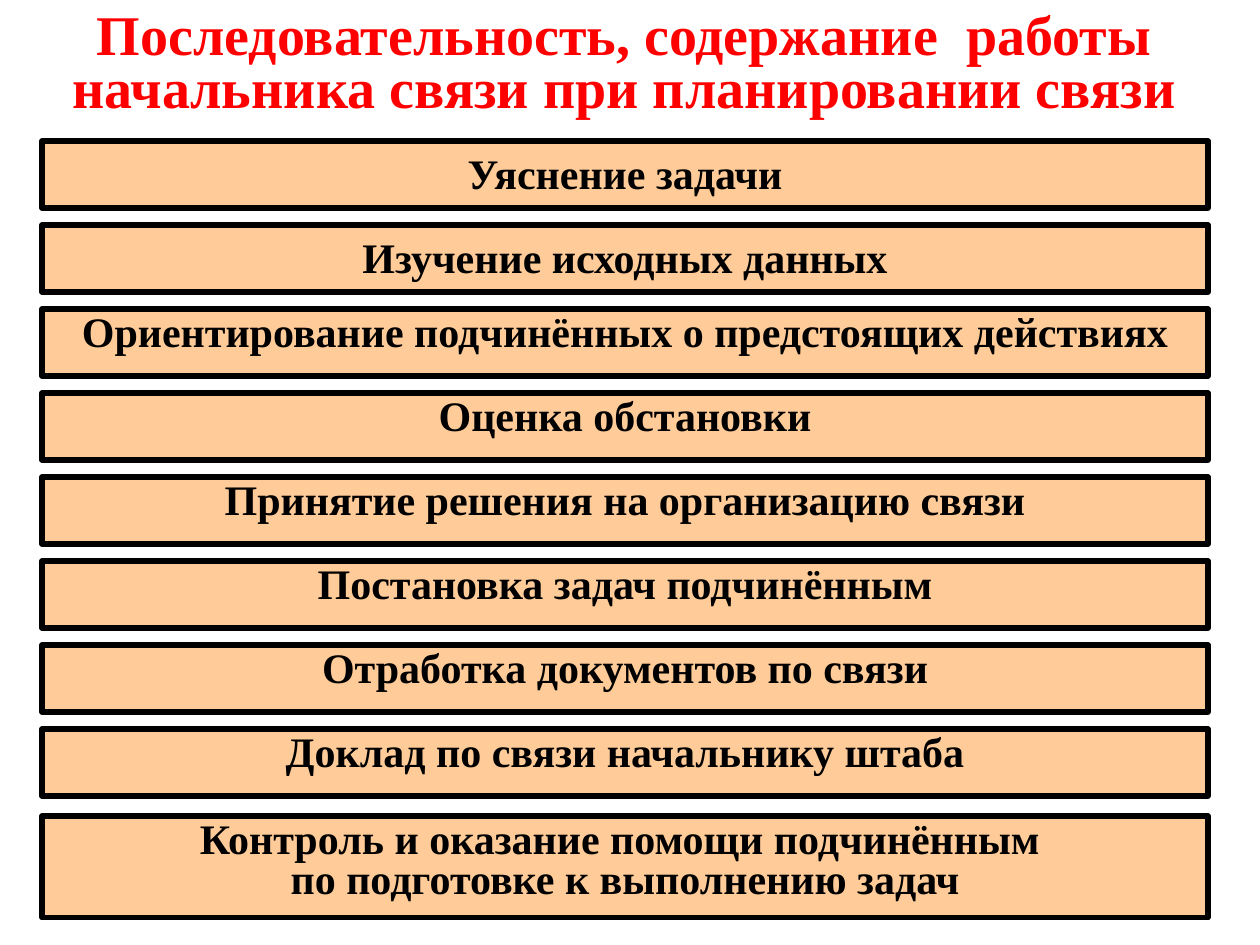
import pptx
import pptx.util
import pptx.dml.color
import pptx.enum.shapes
import pptx.enum.text

TITLE = "Последовательность, содержание  работы начальника связи при планировании связи"
STAGES = [
    ("Уяснение задачи", 1.0),
    ("Изучение исходных данных", 1.0),
    ("Ориентирование подчинённых о предстоящих действиях", 0.8),
    ("Оценка обстановки", 0.8),
    ("Принятие решения на организацию связи", 0.8),
    ("Постановка задач подчинённым", 0.8),
    ("Отработка документов по связи", 0.8),
    ("Доклад по связи начальнику штаба", 0.8),
]
CONTROL = "Контроль и оказание помощи подчинённым \nпо подготовке к выполнению задач"

THEME = {
    "font": "Times New Roman",
    "title": "FF0000",
    "text": "000000",
    "fill": "FFCC99",
    "border": "000000",
    "title_size": 32,
    "stage_size": 24,
    "border_width": 3,
}

EMU_PER_PX = 914400 // 126
STAGE_LEFT, STAGE_TOP, STAGE_WIDTH, STAGE_HEIGHT = 42, 141, 1166, 67
STAGE_PITCH = 84
CONTROL_TOP, CONTROL_HEIGHT = 816, 102


def px(*lengths):
    return [pptx.util.Emu(length * EMU_PER_PX) for length in lengths]


def color(key):
    return pptx.dml.color.RGBColor.from_string(THEME[key])


def write(box, text, size, ink, spacing):
    frame = box.text_frame
    frame.word_wrap = True
    frame.vertical_anchor = pptx.enum.text.MSO_ANCHOR.TOP
    frame.text = text
    for paragraph in frame.paragraphs:
        paragraph.alignment = pptx.enum.text.PP_ALIGN.CENTER
        paragraph.line_spacing = spacing
        for run in paragraph.runs:
            run.font.name = THEME["font"]
            run.font.size = pptx.util.Pt(THEME[size])
            run.font.bold = True
            run.font.color.rgb = color(ink)


def add_stage(slide, text, top, height, spacing):
    bar = slide.shapes.add_shape(
        pptx.enum.shapes.MSO_SHAPE.RECTANGLE,
        *px(STAGE_LEFT, top, STAGE_WIDTH, height),
    )
    bar.shadow.inherit = False
    bar.fill.solid()
    bar.fill.fore_color.rgb = color("fill")
    bar.line.color.rgb = color("border")
    bar.line.width = pptx.util.Pt(THEME["border_width"])
    write(bar, text, size="stage_size", ink="text", spacing=spacing)


def main():
    deck = pptx.Presentation()
    deck.slide_width = pptx.util.Inches(10)
    deck.slide_height = pptx.util.Inches(7.5)
    slide = deck.slides.add_slide(deck.slide_layouts[6])

    heading = slide.shapes.add_textbox(*px(34, 6, 1181, 165))
    write(heading, TITLE, size="title_size", ink="title", spacing=0.8)

    for row, (stage, spacing) in enumerate(STAGES):
        add_stage(slide, stage, STAGE_TOP + row * STAGE_PITCH, STAGE_HEIGHT, spacing)
    add_stage(slide, CONTROL, CONTROL_TOP, CONTROL_HEIGHT, 0.8)

    deck.save("out.pptx")


if __name__ == "__main__":
    main()
